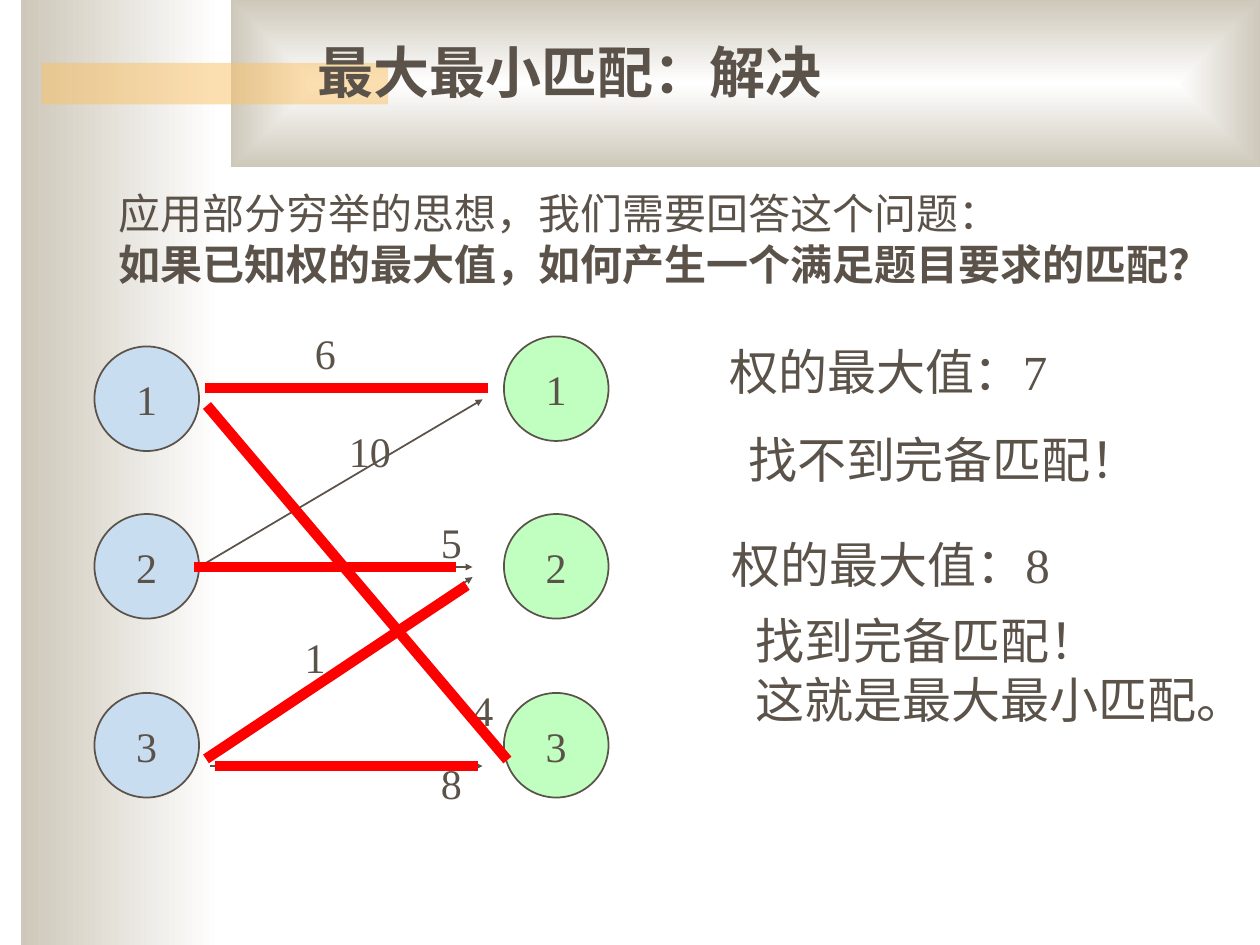
from lxml.etree import SubElement
from pptx import Presentation
from pptx.dml.color import RGBColor
from pptx.enum.shapes import MSO_CONNECTOR, MSO_SHAPE
from pptx.enum.text import MSO_ANCHOR, MSO_AUTO_SIZE, PP_ALIGN
from pptx.oxml.ns import qn
from pptx.util import Inches, Pt

COLORS = {name: RGBColor.from_string(value) for name, value in {
    "text": "5B5249", "sand": "CEC8BA", "white": "FFFFFF", "accent": "FAC164",
    "left": "C9DDF1", "right": "C1FFC1", "match": "FF0000",
}.items()}
SERIF, SANS = "Times New Roman", "Noto Sans CJK SC"

deck = Presentation()
deck.slide_width, deck.slide_height = Inches(10), Inches(7.5)
page = deck.slides.add_slide(deck.slide_layouts[6])


def write(shape, lines, size, bold_lines=(), wrap=False, align=None):
    """Fill a shape with lines; a line is a list of (text, font) spans."""
    frame = shape.text_frame
    frame.word_wrap = wrap
    for index, line in enumerate(lines):
        para = frame.paragraphs[0] if index == 0 else frame.add_paragraph()
        para.alignment = align
        para.font.size = Pt(size)
        para.font.bold = index in bold_lines
        para.font.color.rgb = COLORS["text"]
        para.font.name = SERIF
        defaults = para._p.pPr.find(qn("a:defRPr"))
        SubElement(defaults, qn("a:ea")).set("typeface", SANS)
        for text, font in line:
            span = para.add_run()
            span.text = text
            if font != SERIF:
                span.font.name = font


def add_edge(shapes, start, end, color, width, arrow=False):
    edge = shapes.add_connector(MSO_CONNECTOR.STRAIGHT,
                                *(Inches(value) for value in start + end))
    edge.line.color.rgb = COLORS[color]
    edge.line.width = Pt(width)
    outline = edge.line._get_or_add_ln()
    outline.set("cap", "sq")
    if arrow:
        head = SubElement(outline, qn("a:tailEnd"))
        for key, value in [("type", "triangle"), ("w", "sm"), ("len", "sm")]:
            head.set(key, value)
    SubElement(edge._element.spPr, qn("a:effectLst"))


# Background bands
bands = []
for bounds in [(0.17, 0, 1.58, 7.5), (1.83, 0, 8.17, 1.33), (0.33, 0.5, 2.75, 0.33)]:
    band = page.shapes.add_shape(MSO_SHAPE.RECTANGLE, *(Inches(value) for value in bounds))
    band.shadow.inherit = False
    band.line.fill.background()
    bands.append(band)
side_band, title_band, accent_bar = bands

for band in (side_band, title_band):
    band.fill.gradient()
    for stop, color, position in zip(band.fill.gradient_stops, ("white", "sand"), (0, 1)):
        stop.color.rgb = COLORS[color]
        stop.position = position
side_band.fill.gradient_angle = 180

gradient = title_band._element.spPr.find(qn("a:gradFill"))
gradient.remove(gradient.find(qn("a:lin")))
rect_path = SubElement(gradient, qn("a:path"))
rect_path.set("path", "rect")
center = SubElement(rect_path, qn("a:fillToRect"))
for side in "ltrb":
    center.set(side, "50000")

accent_bar.fill.solid()
accent_bar.fill.fore_color.rgb = COLORS["accent"]
accent_color = accent_bar._element.spPr.find(qn("a:solidFill"))[0]
SubElement(accent_color, qn("a:alpha")).set("val", "50000")

# Graph nodes
for side, left, tops in [("left", 0.75, (2.75, 4.08, 5.5)), ("right", 4, (2.67, 4.08, 5.5))]:
    for number, top in enumerate(tops, start=1):
        node = page.shapes.add_shape(MSO_SHAPE.OVAL, Inches(left), Inches(top),
                                     Inches(0.83), Inches(0.83))
        node.shadow.inherit = False
        node.fill.solid()
        node.fill.fore_color.rgb = COLORS[side]
        node.line.color.rgb = COLORS["text"]
        node.line.width = Pt(1)
        node.text_frame.vertical_anchor = MSO_ANCHOR.MIDDLE
        write(node, [[(str(number), SERIF)]], 24, align=PP_ALIGN.CENTER)

# All weighted edges
for start, end in [
    ((1.67, 3.08), (3.83, 3.08)), ((1.67, 3.25), (4, 6)),
    ((1.58, 4.5), (3.83, 3.17)), ((1.58, 4.5), (3.75, 4.5)),
    ((1.67, 6), (3.75, 4.58)), ((1.67, 6.08), (3.83, 6.08)),
]:
    add_edge(page.shapes, start, end, "text", 1, arrow=True)

# Title, question, edge weights and findings
question = [
    [("应用部分穷举的思想，我们需要回答这个问题：", SERIF)],
    [("如果已知", SANS), ("权的最大值", SERIF), ("，如何产生一个满足题目要求的匹配？", SANS)],
]
texts = [
    ((2.42, 0.25, 6, 0.64), [[("最大最小匹配：解决", SERIF)]], 32, (0,), True),
    ((0.84, 1.44, 8.94, 0.9), question, 24, (1,), False),
]
for weight, left, top, width in [
    ("6", 2.4, 2.55, 0.36), ("4", 3.65, 5.38, 0.36), ("8", 3.4, 5.96, 0.36),
    ("10", 2.67, 3.33, 0.53), ("1", 2.32, 4.96, 0.36), ("5", 3.4, 4.05, 0.36),
]:
    texts.append(((left, top, width, 0.5), [[(weight, SERIF)]], 24, (), False))
# The limits get a fixed width with room for the digit after the full-width colon
for bounds, lines, wrap in [
    ((5.69, 2.66, 3.3, 0.57), ["权的最大值：7"], True),
    ((5.84, 3.36, 3.3, 0.57), ["找不到完备匹配！"], False),
    ((5.71, 4.19, 3.3, 0.57), ["权的最大值：8"], True),
    ((5.9, 4.8, 4.08, 1.04), ["找到完备匹配！", "这就是最大最小匹配。"], False),
]:
    texts.append((bounds, [[(line, SERIF)] for line in lines], 28, (), wrap))

for bounds, lines, size, bold_lines, wrap in texts:
    box = page.shapes.add_textbox(*(Inches(value) for value in bounds))
    box.text_frame.auto_size = MSO_AUTO_SIZE.SHAPE_TO_FIT_TEXT
    write(box, lines, size, bold_lines, wrap)

# Edges allowed by the limit 7, then the one added by the limit 8
allowed = page.shapes.add_group_shape()
for start, end in [
    ((1.58, 4.5), (3.58, 4.5)), ((1.67, 3.25), (4, 6)),
    ((1.67, 6), (3.67, 4.67)), ((1.67, 3.08), (3.83, 3.08)),
]:
    add_edge(allowed.shapes, start, end, "match", 6)
add_edge(page.shapes, (1.75, 6.08), (3.75, 6.08), "match", 6)

deck.save("out.pptx")
